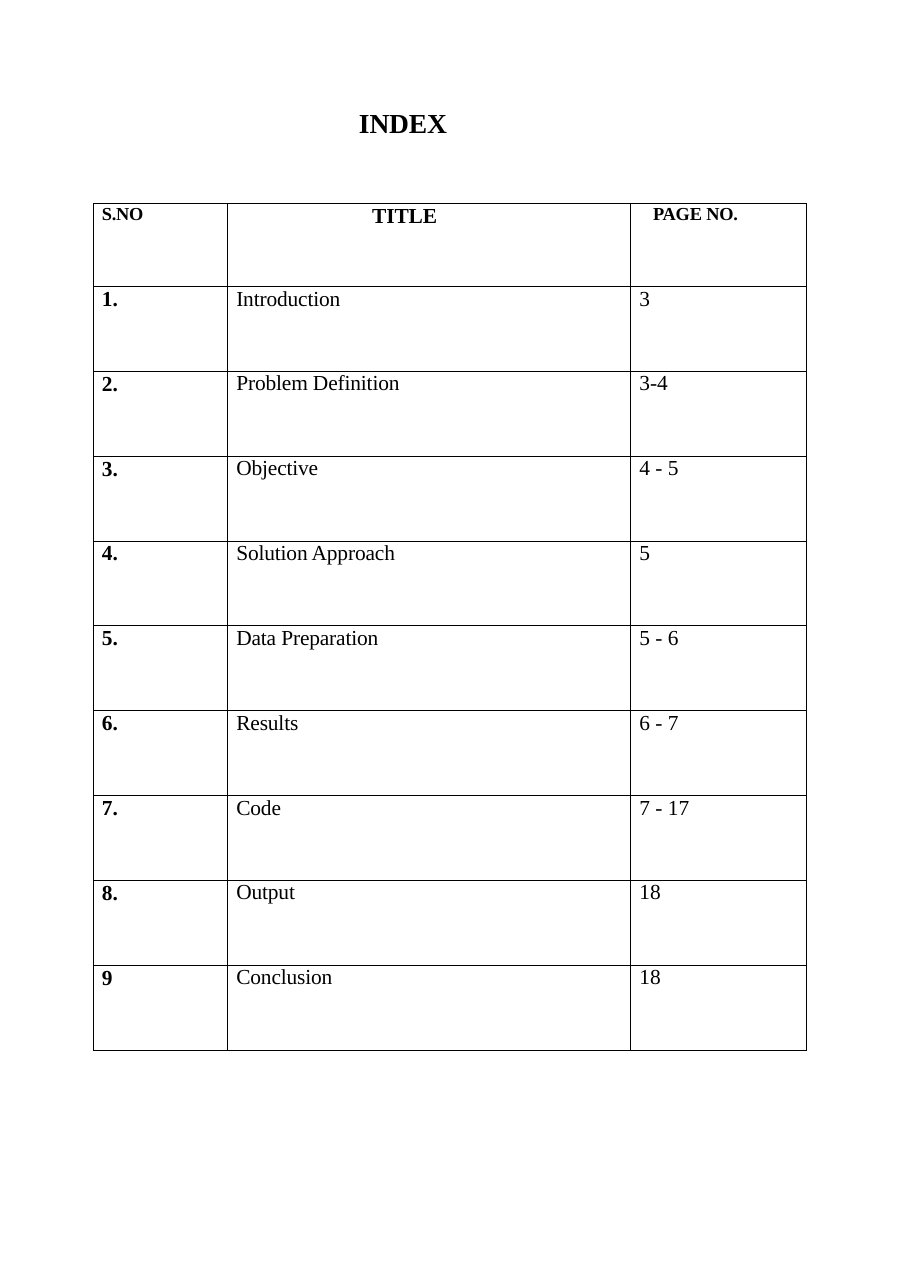
import pptx
import pptx.util
import pptx.dml.color
import pptx.enum.text
import pptx.oxml.ns
import lxml.etree

Pt = pptx.util.Pt
ALIGN = pptx.enum.text.PP_ALIGN
COLORS = {"ink": "000000", "paper": "FFFFFF"}
FONT = "Times New Roman"
COLUMNS = (87.75, 263.75, 115.2)
HEADER_HEIGHT, ROW_HEIGHT = 54.35, 55.55
NUMBER = {"size": 14, "bold": True, "line": 16, "left": 5.4, "spc": 10}
ENTRY = {"size": 14, "bold": False, "line": 15.8, "left": 5.7, "spc": -10}
PAGE = {**ENTRY, "spc": 0}
LABEL = {"size": 12, "bold": True, "line": 13.7, "left": 5.4, "spc": -10}
HEADER_STYLES = (
    LABEL,
    {**NUMBER, "left": 0, "right": 32, "align": ALIGN.CENTER, "spc": -10},
    {**LABEL, "left": 14.7},
)
HEADER = ("S.NO", "TITLE", "PAGE NO.")
ENTRIES = (
    ("1.", "Introduction", "3"),
    ("2.", "Problem Definition", "3-4"),
    ("3.", "Objective", "4 - 5"),
    ("4.", "Solution Approach", "5"),
    ("5.", "Data Preparation", "5 - 6"),
    ("6.", "Results", "6 - 7"),
    ("7.", "Code", "7 - 17"),
    ("8.", "Output", "18"),
    ("9", "Conclusion", "18"),
)


def set_attrs(obj, values):
    """Set each named attribute of an object."""
    for name, value in values.items():
        setattr(obj, name, value)


def write(p, text, style):
    """Fill a paragraph with one styled run."""
    p.alignment = style.get("align", ALIGN.LEFT)
    r = p.add_run()
    r.text = text
    set_attrs(r.font, {"name": FONT, "size": Pt(style["size"]), "bold": style["bold"]})
    r.font.color.rgb = pptx.dml.color.RGBColor.from_string(COLORS["ink"])
    r._r.get_or_add_rPr().set("spc", str(style["spc"]))


def add_borders(cell):
    """Draw a thin line on all four sides of a cell."""
    qn = pptx.oxml.ns.qn
    tcPr = cell._tc.get_or_add_tcPr()
    for side in ("a:lnL", "a:lnR", "a:lnT", "a:lnB"):
        ln = lxml.etree.SubElement(tcPr, qn(side), w=str(Pt(0.5)))
        fill = lxml.etree.SubElement(ln, qn("a:solidFill"))
        lxml.etree.SubElement(fill, qn("a:srgbClr"), val=COLORS["ink"])


def add_title(s, left, top, width, height):
    """Place the heading in the title placeholder."""
    sp = s.shapes.title
    set_attrs(sp, {"left": Pt(left), "top": Pt(top), "width": Pt(width), "height": Pt(height)})
    tf = sp.text_frame
    set_attrs(tf, {
        "margin_left": Pt(0.9), "margin_right": 0, "margin_top": Pt(0.9), "margin_bottom": 0,
        "word_wrap": False, "auto_size": pptx.enum.text.MSO_AUTO_SIZE.NONE,
        "vertical_anchor": pptx.enum.text.MSO_ANCHOR.TOP,
    })
    p = tf.paragraphs[0]
    p.space_before = Pt(1)
    write(p, "INDEX", {"size": 18, "bold": True, "spc": -10})


def add_index(s, left, top):
    """Build the index table from its top left corner."""
    height = HEADER_HEIGHT + ROW_HEIGHT * len(ENTRIES)
    rows = (HEADER, *ENTRIES)
    table = s.shapes.add_table(len(rows), len(COLUMNS), Pt(left), Pt(top),
                               Pt(sum(COLUMNS)), Pt(height)).table
    set_attrs(table, {"first_row": False, "horz_banding": False})
    for column, width in zip(table.columns, COLUMNS):
        column.width = Pt(width)
    for i, texts in enumerate(rows):
        table.rows[i].height = Pt(ROW_HEIGHT if i else HEADER_HEIGHT)
        styles = (NUMBER, ENTRY, PAGE) if i else HEADER_STYLES
        for j, (text, style) in enumerate(zip(texts, styles)):
            cell = table.cell(i, j)
            set_attrs(cell, {
                "margin_left": Pt(style["left"]), "margin_right": Pt(style.get("right", 0)),
                "margin_top": 0, "margin_bottom": 0,
            })
            add_borders(cell)
            cell.fill.background()
            p = cell.text_frame.paragraphs[0]
            p.line_spacing = Pt(style["line"])
            write(p, text, style)


def main():
    """Build and save the index page."""
    prs = pptx.Presentation()
    set_attrs(prs, {"slide_width": Pt(596.16), "slide_height": Pt(843.12)})
    s = prs.slides.add_slide(prs.slide_layouts[5])
    s.background.fill.solid()
    s.background.fill.fore_color.rgb = pptx.dml.color.RGBColor.from_string(COLORS["paper"])
    add_title(s, 234, 68.4, 59.8, 23.8)
    add_index(s, 61.2, 133.2)
    prs.save("out.pptx")


if __name__ == "__main__":
    main()
